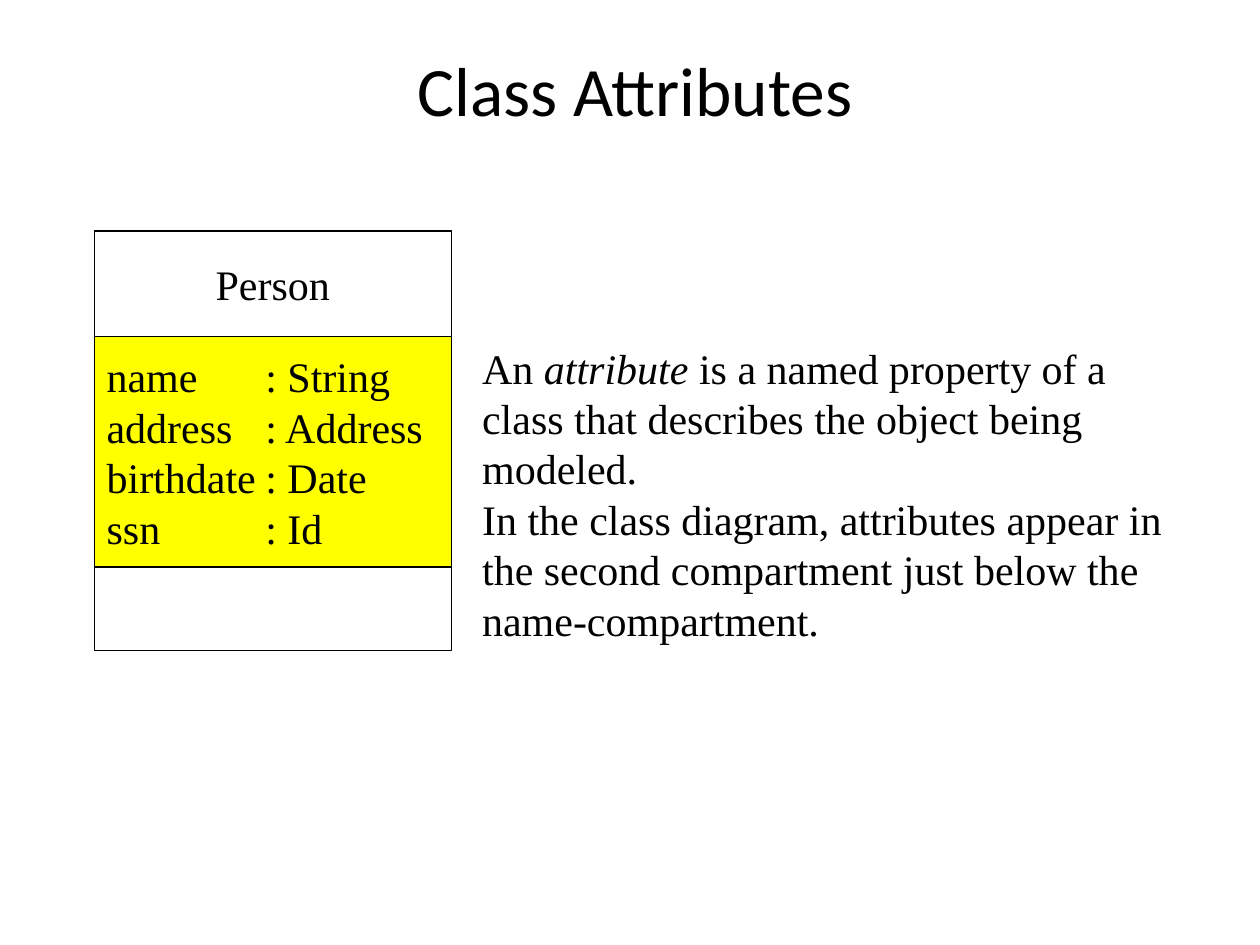
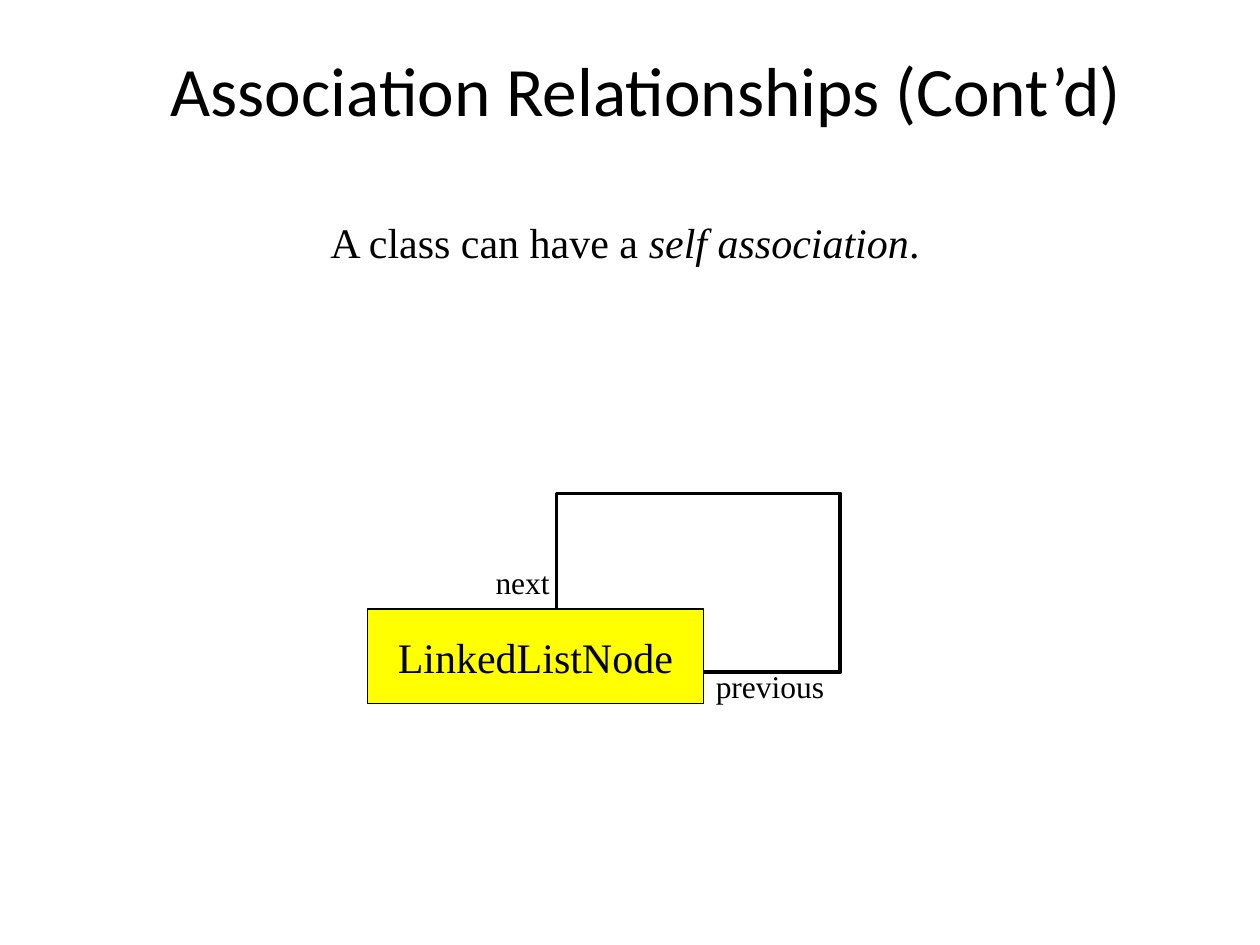
from dataclasses import dataclass

import pptx
import pptx.dml.color
import pptx.enum.shapes
import pptx.enum.text
import pptx.oxml.ns
import pptx.util
from lxml import etree
from pptx.util import Cm, Pt

LEFT = pptx.enum.text.PP_ALIGN.LEFT
CENTER = pptx.enum.text.PP_ALIGN.CENTER
TOP = pptx.enum.text.MSO_ANCHOR.TOP
MIDDLE = pptx.enum.text.MSO_ANCHOR.MIDDLE


@dataclass(frozen=True)
class Theme:
    ink: str = "000000"
    paper: str = "FFFFFF"
    highlight: str = "FFFF00"
    title_font: str = "Calibri"
    body_font: str = "Times New Roman"
    title_size: float = 39.6
    body_size: float = 24
    role_size: float = 18
    thin: float = 0.75
    thick: float = 2.25


THEME = Theme()


@dataclass(frozen=True)
class Area:
    """A rectangle on the slide, in centimetres."""
    left: float
    top: float
    width: float
    height: float

    def lengths(self) -> tuple:
        return Cm(self.left), Cm(self.top), Cm(self.width), Cm(self.height)


@dataclass(frozen=True)
class Compartment:
    height: float
    fill: str
    lines: tuple = ()
    align: int = CENTER


def rgb(value: str) -> pptx.dml.color.RGBColor:
    return pptx.dml.color.RGBColor.from_string(value)


def add_tab_stop(paragraph, position: float) -> None:
    properties = paragraph._p.get_or_add_pPr()
    stops = etree.SubElement(properties, pptx.oxml.ns.qn("a:tabLst"))
    etree.SubElement(stops, pptx.oxml.ns.qn("a:tab"), pos=str(Cm(position)), algn="l")


def write(frame, lines: tuple, *, font: str = THEME.body_font,
          size: float = THEME.body_size, align: int = LEFT,
          anchor: int = TOP, tab: float = 0) -> None:
    """Write one paragraph a line; words between asterisks become italic."""
    frame.word_wrap = True
    frame.vertical_anchor = anchor
    for index, line in enumerate(lines):
        paragraph = frame.add_paragraph() if index else frame.paragraphs[0]
        paragraph.alignment = align
        if tab and "\t" in line:
            add_tab_stop(paragraph, tab)
        for part, words in enumerate(line.split("*")):
            run = paragraph.add_run()
            run.text = words
            run.font.name = font
            run.font.size = Pt(size)
            run.font.italic = part % 2 == 1
            run.font.color.rgb = rgb(THEME.ink)


def add_text(slide, area: Area, *lines: str, **text_format) -> None:
    write(slide.shapes.add_textbox(*area.lengths()).text_frame, lines, **text_format)


def add_box(slide, area: Area, *lines: str, fill: str = THEME.paper,
            border: float = THEME.thin, **text_format) -> None:
    box = slide.shapes.add_shape(
        pptx.enum.shapes.MSO_SHAPE.RECTANGLE, *area.lengths())
    box.shadow.inherit = False
    box.fill.solid()
    box.fill.fore_color.rgb = rgb(fill)
    box.line.color.rgb = rgb(THEME.ink)
    box.line.width = Pt(border)
    write(box.text_frame, lines, anchor=MIDDLE, **text_format)


def add_titled_slide(deck, title: str, left: float, width: float):
    slide = deck.slides.add_slide(deck.slide_layouts[6])
    add_text(slide, Area(left, 1.06, width, 1.48), title, font=THEME.title_font,
             size=THEME.title_size, align=CENTER, anchor=MIDDLE)
    return slide


def add_class_diagram(slide, left: float, top: float, width: float,
                      compartments: tuple) -> None:
    """Stack the compartments of a class from the top down."""
    for compartment in compartments:
        add_box(slide, Area(left, top, width, compartment.height),
                *compartment.lines, fill=compartment.fill,
                align=compartment.align, tab=3.2)
        top += compartment.height


def build_attributes(deck) -> None:
    slide = add_titled_slide(deck, "Class Attributes", 1.9, 21.8)
    attributes = (("name", "String"), ("address", "Address"),
                  ("birthdate", "Date"), ("ssn", "Id"))
    add_class_diagram(slide, 1.9, 4.66, 7.2, (
        Compartment(2.12, THEME.paper, ("Person",)),
        Compartment(4.65, THEME.highlight,
                    tuple(f"{name}\t: {kind}" for name, kind in attributes), LEFT),
        Compartment(1.69, THEME.paper),
    ))
    add_text(slide, Area(9.47, 6.77, 15.85, 5.33),
             "An *attribute* is a named property of a",
             "class that describes the object being modeled.",
             "In the class diagram, attributes appear in",
             "the second compartment just below the",
             "name-compartment.")


def build_self_association(deck) -> None:
    slide = add_titled_slide(deck, "Association Relationships (Cont’d)", 1.7, 22.65)
    add_text(slide, Area(1.7, 4.23, 21.8, 1.27),
             "A class can have a *self association*.", align=CENTER)
    add_box(slide, Area(11.22, 9.95, 5.72, 3.6), border=THEME.thick)
    add_box(slide, Area(7.41, 12.28, 6.77, 1.9), "LinkedListNode",
            fill=THEME.highlight, align=CENTER)
    add_text(slide, Area(9.74, 11.22, 1.7, 1.02), "next", size=THEME.role_size)
    add_text(slide, Area(14.18, 13.33, 2.96, 1.02), "previous", size=THEME.role_size)


def main() -> None:
    deck = pptx.Presentation()
    deck.slide_width, deck.slide_height = Cm(25.4), Cm(19.05)
    build_attributes(deck)
    build_self_association(deck)
    deck.save("out.pptx")


if __name__ == "__main__":
    main()
